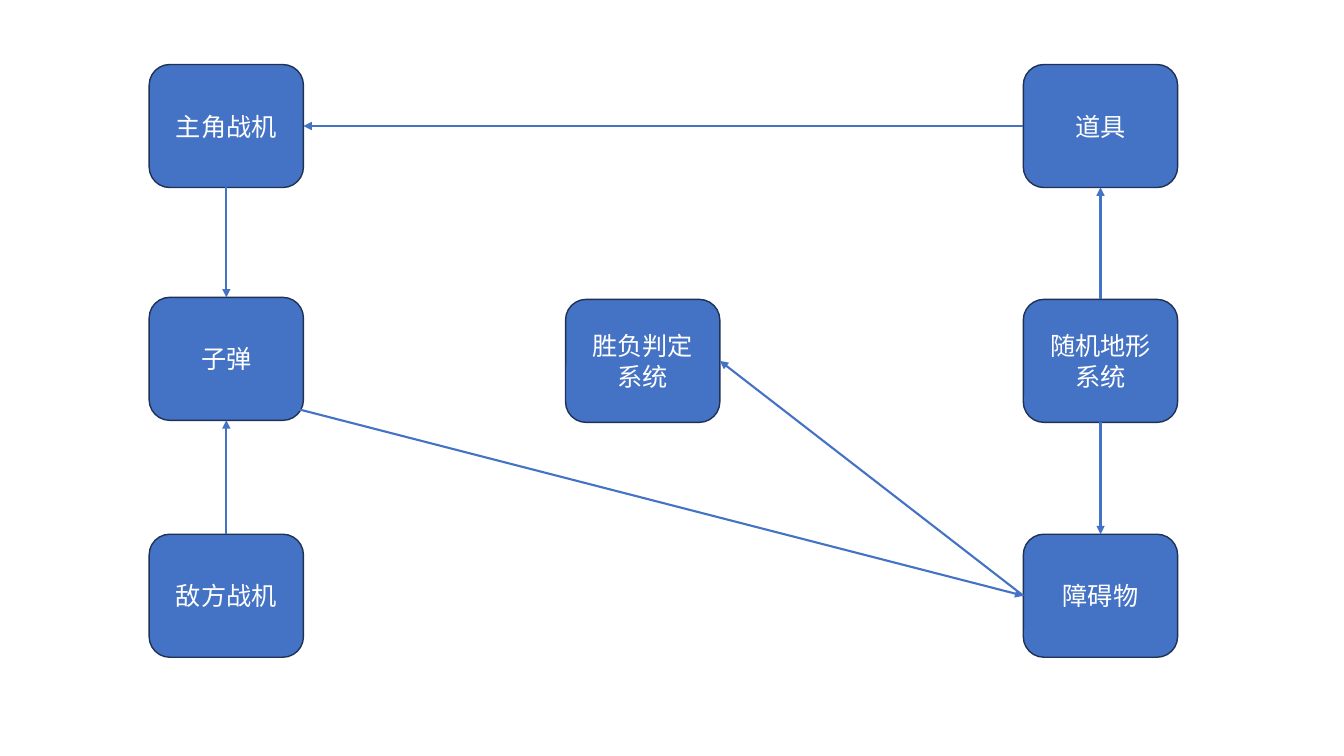
"""Build a slide that maps how the parts of a plane shooting game act on each other."""
from lxml.etree import SubElement
from pptx import Presentation
from pptx.dml.color import RGBColor
from pptx.enum.shapes import MSO_CONNECTOR, MSO_SHAPE
from pptx.enum.text import MSO_ANCHOR, PP_ALIGN
from pptx.oxml.ns import qn
from pptx.util import Inches, Pt

THEME = {
    "fill": RGBColor.from_string("4472C4"),
    "edge": RGBColor.from_string("1E3256"),
    "text": RGBColor.from_string("FFFFFF"),
    "font": "Noto Sans CJK SC",
    "size": Pt(18),
    "border": Pt(1),
    "arrow": Pt(1.5),
}
WIDE, HIGH = 1.53, 1.22
LEFT, MID, RIGHT = 1.48, 5.61, 10.15
TOP, CENTER, LOW = 0.64, 2.97, 5.3
NODES = {
    "敌方战机": (LEFT, LOW),
    "主角战机": (LEFT, TOP),
    "随机地形系统": (RIGHT, CENTER),
    "障碍物": (RIGHT, LOW),
    "道具": (RIGHT, TOP),
    "子弹": (LEFT, 2.95),
    "胜负判定系统": (MID, CENTER),
}
SIDES = {"top": 0, "left": 1, "bottom": 2, "right": 3}
CORNER = (2.96, 4.06)
LINKS = [
    ("主角战机", "bottom", "子弹", "top"),
    ("敌方战机", "top", "子弹", "bottom"),
    ("道具", "left", "主角战机", "right"),
    ("障碍物", "left", "胜负判定系统", "right"),
    ("随机地形系统", "bottom", "障碍物", "top"),
    ("随机地形系统", "top", "道具", "bottom"),
    ("子弹", "corner", "障碍物", "left"),
]


def assign(target, values):
    for name, value in values.items():
        setattr(target, name, value)


def add_node(slide, label, left, top):
    box = slide.shapes.add_shape(
        MSO_SHAPE.ROUNDED_RECTANGLE, *map(Inches, (left, top, WIDE, HIGH)))
    box.shadow.inherit = False
    box.fill.solid()
    box.fill.fore_color.rgb = THEME["fill"]
    box.line.color.rgb = THEME["edge"]
    box.line.width = THEME["border"]
    frame = box.text_frame
    assign(frame, {"word_wrap": True, "vertical_anchor": MSO_ANCHOR.MIDDLE})
    para = frame.paragraphs[0]
    para.alignment = PP_ALIGN.CENTER
    run = para.add_run()
    run.text = label
    assign(run.font, {"name": THEME["font"], "size": THEME["size"]})
    run.font.color.rgb = THEME["text"]
    SubElement(run.font._element, qn("a:ea"), typeface=THEME["font"])
    return box


def add_link(slide, boxes, source, start, target, end):
    x, y = map(Inches, CORNER)
    link = slide.shapes.add_connector(MSO_CONNECTOR.STRAIGHT, x, y, x, y)
    if start in SIDES:
        link.begin_connect(boxes[source], SIDES[start])
    link.end_connect(boxes[target], SIDES[end])
    link.line.color.rgb = THEME["fill"]
    link.line.width = THEME["arrow"]
    SubElement(link.line._get_or_add_ln(), qn("a:tailEnd"), type="triangle")
    SubElement(link._element.spPr, qn("a:effectLst"))


def main():
    deck = Presentation()
    assign(deck, {"slide_width": Inches(13.33), "slide_height": Inches(7.5)})
    slide = deck.slides.add_slide(deck.slide_layouts[6])
    boxes = {label: add_node(slide, label, *spot) for label, spot in NODES.items()}
    for link in LINKS:
        add_link(slide, boxes, *link)
    deck.save("out.pptx")


if __name__ == "__main__":
    main()
